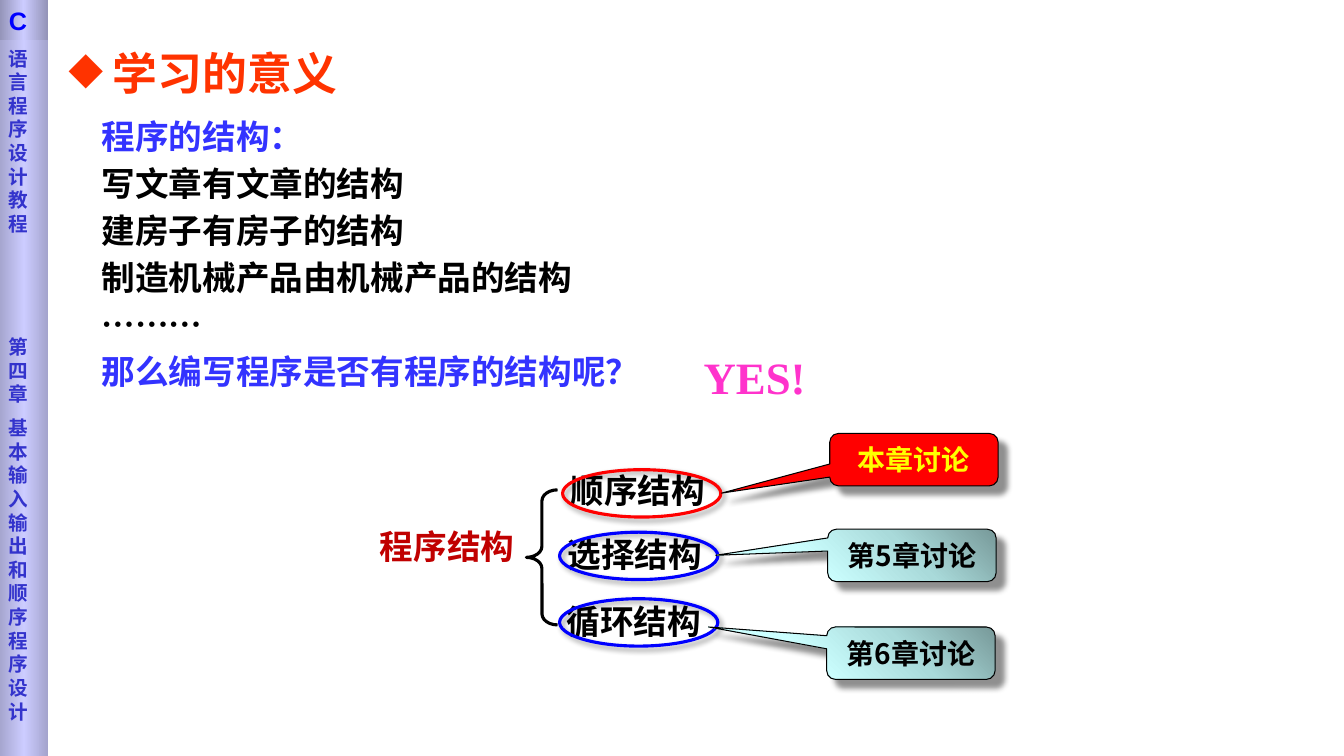
from lxml import etree
from pptx import Presentation
from pptx.dml.color import RGBColor
from pptx.enum.shapes import MSO_SHAPE
from pptx.enum.text import MSO_ANCHOR, MSO_AUTO_SIZE, PP_ALIGN
from pptx.oxml import parse_xml
from pptx.oxml.ns import nsdecls, qn
from pptx.util import Inches, Pt

RECTANGLE, ELLIPSE = MSO_SHAPE.RECTANGLE, MSO_SHAPE.OVAL
BRACE, CALLOUT = MSO_SHAPE.LEFT_BRACE, MSO_SHAPE.ROUNDED_RECTANGULAR_CALLOUT
TOP, MIDDLE = MSO_ANCHOR.TOP, MSO_ANCHOR.MIDDLE
LEFT, CENTER = PP_ALIGN.LEFT, PP_ALIGN.CENTER
NO_AUTOFIT = MSO_AUTO_SIZE.NONE

COLORS = {
    "black": "000000", "title": "FF3300", "question": "3333FF",
    "topic": "C00000", "answer": "FF33CC", "red": "FF0000",
    "blue": "0000FF", "yellow": "FFFF00", "sidebar_text": "3333CC",
}
TEAL = ("779999", "A9DADA", "CCFFFF")
SIDEBAR = ("A4A4CD", "CCCCFF", "A4A4CD")
SIDEBAR_HEAD = ("9292B6", "CCCCFF", "9292B6")
CJK, SERIF, SANS, SIDE = ("Noto Sans CJK SC", "Times New Roman", "Arial",
                          "DejaVu Sans")


class SlideBuilder:
    """Holds the slide and its style."""

    def __init__(self, slide):
        self.slide = slide

    def color(self, name):
        return RGBColor.from_string(COLORS[name])

    def format_paragraph(self, paragraph, size, font_name, color,
                         alignment=LEFT):
        paragraph.alignment = alignment
        font = paragraph.font
        font.size, font.name, font.bold = Pt(size), font_name, True
        font.color.rgb = self.color(color)
        # East Asian typeface
        properties = paragraph._p.pPr.find(qn("a:defRPr"))
        latin = properties.find(qn("a:latin"))
        east_asian = etree.Element(qn("a:ea"), typeface=CJK)
        latin.addnext(east_asian)

    def fill_text(self, shape, lines, size, font_name, color, alignment=LEFT,
                  anchor=MIDDLE, pitch=None, wrap=True):
        """Lines are (text, colour or None, points of space before)."""
        frame = shape.text_frame
        frame.word_wrap, frame.vertical_anchor = wrap, anchor
        frame.auto_size = NO_AUTOFIT
        for index, (text, line_color, space) in enumerate(lines):
            paragraph = (frame.add_paragraph() if index
                         else frame.paragraphs[0])
            paragraph.text = text
            if pitch:
                paragraph.line_spacing = Pt(pitch)
            if index:
                paragraph.space_before = Pt(space)
            self.format_paragraph(paragraph, size, font_name,
                                  line_color or color, alignment)
        return frame

    def title(self, text, box):
        title = self.slide.shapes.title
        title.left, title.top, title.width, title.height = map(Inches, box)
        frame = title.text_frame
        frame.text = text
        frame.vertical_anchor, frame.auto_size = MIDDLE, NO_AUTOFIT
        paragraph = frame.paragraphs[0]
        properties = paragraph._p.get_or_add_pPr()
        properties.set("marL", str(Inches(0.44)))
        properties.set("indent", str(-Inches(0.44)))
        etree.SubElement(properties, qn("a:buChar"), char="◆")
        self.format_paragraph(paragraph, 32, SANS, "title")

    def text(self, box, lines, size, font_name, color, **options):
        shape = self.slide.shapes.add_textbox(*map(Inches, box))
        return self.fill_text(shape, lines, size, font_name, color, **options)

    def shape(self, kind, box, line=None, width=0.75, fill=None,
              adjustments=(), shadow=None):
        shape = self.slide.shapes.add_shape(kind, *map(Inches, box))
        for index, value in enumerate(adjustments):
            shape.adjustments[index] = value
        if fill:
            shape.fill.solid()
            shape.fill.fore_color.rgb = self.color(fill)
        else:
            shape.fill.background()
        if line:
            shape.line.color.rgb = self.color(line)
            shape.line.width = Pt(width)
        else:
            shape.line.fill.background()
        shape.shadow.inherit = False
        if shadow:
            self.cast_shadow(shape, *shadow)
        return shape

    def cast_shadow(self, shape, opacity, blur, distance):
        effects = shape._element.spPr.find(qn("a:effectLst"))
        effects.append(parse_xml(
            f'<a:outerShdw {nsdecls("a")} blurRad="{Pt(blur)}" '
            f'dist="{Pt(distance)}" dir="2700000" algn="tl" rotWithShape="0">'
            f'<a:srgbClr val="{COLORS["black"]}">'
            f'<a:alpha val="{opacity * 1000}"/></a:srgbClr></a:outerShdw>'))

    def gradient(self, shape, colors, angle):
        stops = "".join(
            f'<a:gs pos="{index * 50000}"><a:srgbClr val="{value}"/></a:gs>'
            for index, value in enumerate(colors))
        properties = shape._element.spPr
        properties.replace(properties.find(qn("a:noFill")), parse_xml(
            f'<a:gradFill {nsdecls("a")} rotWithShape="1">'
            f'<a:gsLst>{stops}</a:gsLst>'
            f'<a:lin ang="{angle * 60000}" scaled="1"/></a:gradFill>'))

    def callout(self, text, left, top, pointer, fill, color):
        shape = self.shape(CALLOUT, (left, top, 1.67, 0.52), "black",
                           fill=fill, adjustments=(*pointer, 0.167),
                           shadow=(43, 4, 8.4))
        if not fill:
            self.gradient(shape, TEAL, 135)
        self.fill_text(shape, [(text, None, 0)], 20, CJK, color,
                       alignment=CENTER, wrap=False)


def main():
    presentation = Presentation()
    presentation.slide_width = Inches(13.33)
    presentation.slide_height = Inches(7.5)
    slide = presentation.slides.add_slide(presentation.slide_layouts[5])
    builder = SlideBuilder(slide)

    # Title and introduction
    builder.title("学习的意义", (0.58, 0.41, 7.8, 0.63))
    introduction = [
        ("程序的结构：", "question", 0),
        ("写文章有文章的结构", None, 4.8),
        ("建房子有房子的结构", None, 4.8),
        ("制造机械产品由机械产品的结构", None, 4.8),
        ("………", None, 4.8),
        ("那么编写程序是否有程序的结构呢？", "question", 4.8),
    ]
    builder.text((0.91, 1.1, 9.08, 3.04), introduction, 24, CJK, "black",
                 anchor=TOP, pitch=28.8)
    builder.text((6.88, 3.42, 1.73, 0.63), [("YES!", None, 0)], 32, SERIF,
                 "answer")

    # Program structures: label place, ellipse place, callout place
    builder.text((3.67, 5.17, 1.73, 0.5), [("程序结构", None, 0)], 24, SERIF,
                 "topic")
    builder.shape(BRACE, (5.22, 4.86, 0.31, 1.34), "black", 2.25,
                  adjustments=(0.355, 0.5))
    structures = [
        ("顺序结构", (5.56, 4.61), (5.58, 4.66), "red",
         "本章讨论", (8.23, 4.3), (-1.142, 0.638), "red", "yellow"),
        ("选择结构", (5.53, 5.25), (5.55, 5.28), "blue",
         "第5章讨论", (8.21, 5.25), (-1.164, -0.002), None, "black"),
        ("循环结构", (5.52, 5.91), (5.55, 5.94), "blue",
         "第6章讨论", (8.2, 6.22), (-1.201, -0.5), None, "black"),
    ]
    for (label, label_place, ring_place, ring_color,
         note, note_place, pointer, fill, note_color) in structures:
        builder.text((*label_place, 1.73, 0.5), [(label, None, 0)], 24,
                     SERIF, "black")
        builder.shape(ELLIPSE, (*ring_place, 1.57, 0.47), ring_color, 2.25,
                      shadow=(40, 4, 3))
        builder.callout(note, *note_place, pointer, fill, note_color)

    # Sidebar, one character to a line
    sidebar = builder.shape(RECTANGLE, (-0.01, 0, 0.49, 7.5))
    builder.gradient(sidebar, SIDEBAR, 0)
    chapter = [("语言程序设计教程", None, 0), ("第四章", None, 71),
               ("基本输入输出和顺序程序设计", None, 7)]
    frame = builder.fill_text(sidebar, chapter, 14, SIDE, "sidebar_text",
                              anchor=TOP, pitch=16.9)
    frame.margin_top = Inches(0.46)
    head = builder.shape(RECTANGLE, (-0.01, 0, 0.49, 0.4))
    builder.gradient(head, SIDEBAR_HEAD, 0)
    builder.fill_text(head, [("C", None, 0)], 18, SANS, "blue")

    presentation.save("out.pptx")


if __name__ == "__main__":
    main()
